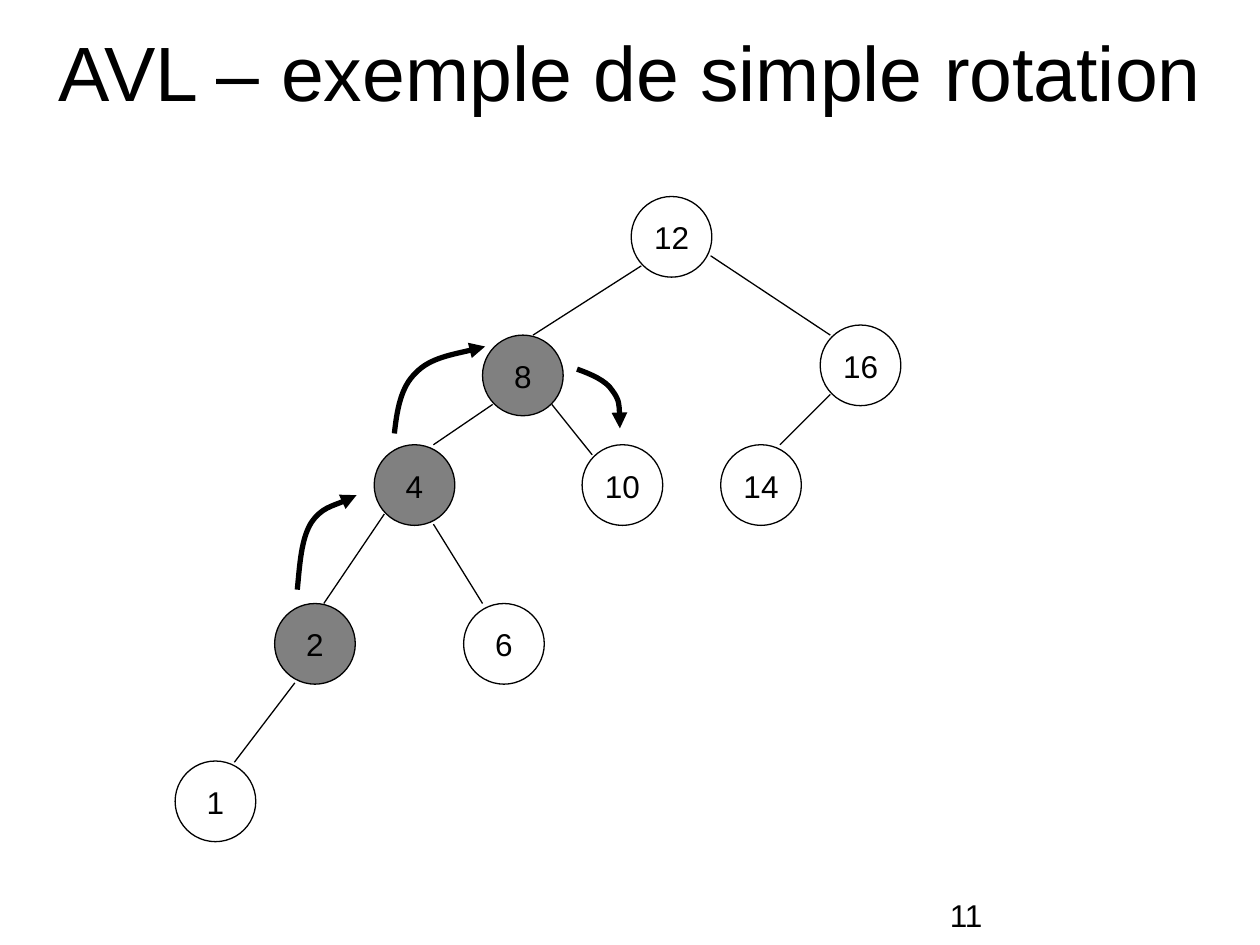
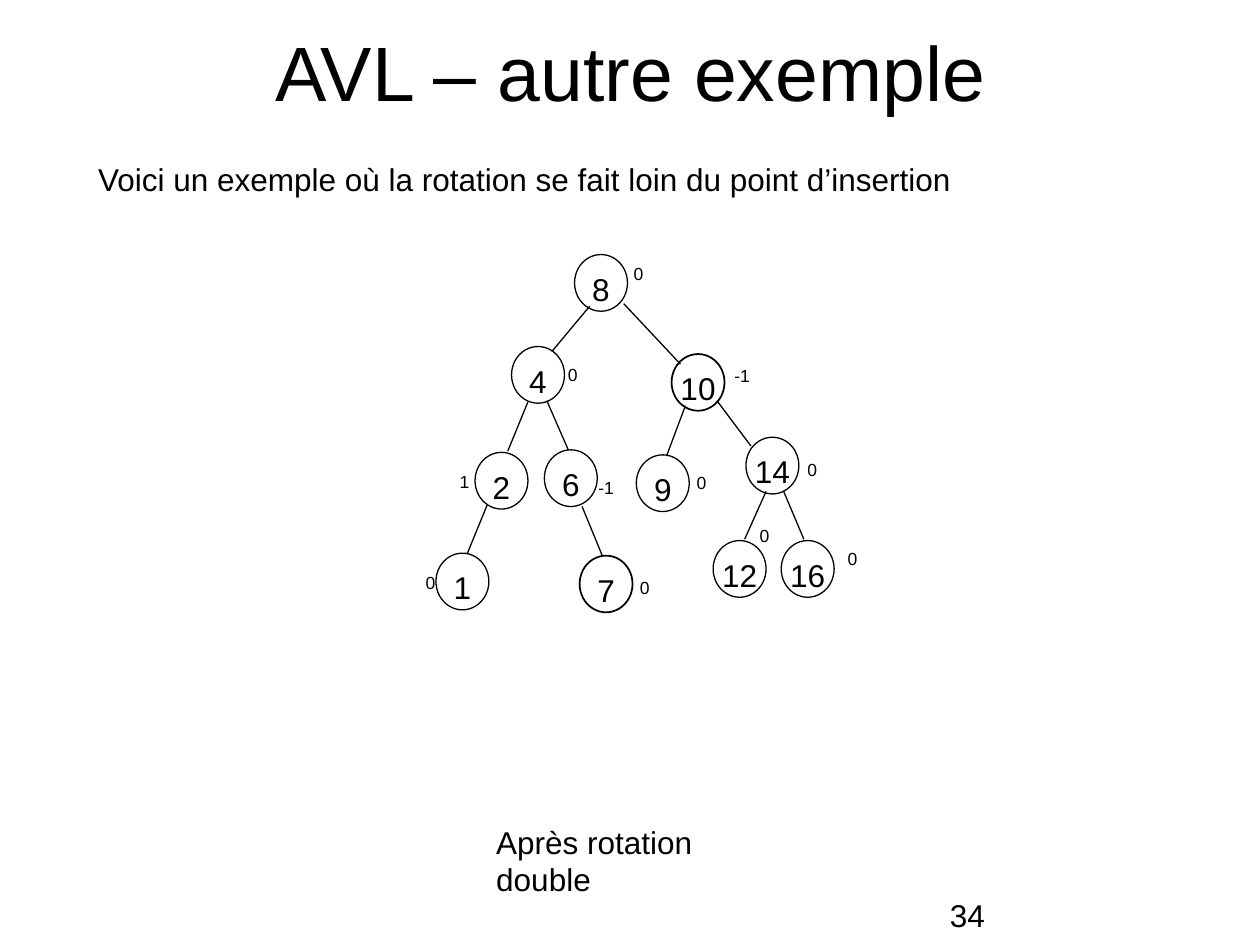
from dataclasses import dataclass
from typing import Optional

from lxml.etree import SubElement
from pptx import Presentation
from pptx.dml.color import RGBColor
from pptx.enum.shapes import MSO_CONNECTOR, MSO_SHAPE
from pptx.enum.text import MSO_ANCHOR, PP_ALIGN
from pptx.oxml.ns import qn
from pptx.util import Emu, Inches, Pt

COLORS = {"ink": "000000", "rotated": "808080", "paper": "FFFFFF"}
FONT = "Arial"
TITLE_SIZE, TEXT_SIZE, BALANCE_SIZE = 44, 18, 10
TITLE_LAYOUT = 5
SLIDE_WIDTH, SLIDE_HEIGHT = Inches(10), Inches(7.5)
COLUMNS, ROWS = 100, 75


@dataclass(frozen=True)
class NodeStyle:
    width: float
    height: float
    top_inset: float


@dataclass(frozen=True)
class Node:
    key: str
    column: float
    row: float
    fill: Optional[str] = None
    line_width: float = 0.75


@dataclass(frozen=True)
class Edge:
    parent_column: float
    parent_row: float
    child_column: float
    child_row: float


@dataclass(frozen=True)
class Caption:
    text: str
    column: float
    row: float
    width: float = 2.7
    height: float = 2.7
    size: float = BALANCE_SIZE
    wrap: bool = False


@dataclass(frozen=True)
class RotationArrow:
    start: tuple
    curves: tuple


@dataclass(frozen=True)
class TreeSlide:
    title: str
    number: str
    style: NodeStyle
    nodes: tuple
    edges: tuple
    captions: tuple = ()
    arrows: tuple = ()


SIMPLE_ROTATION = TreeSlide(
    title="AVL – exemple de simple rotation",
    number="11",
    style=NodeStyle(6.4, 6.4, 0.8),
    nodes=(
        Node("12", 50.1, 15.6),
        Node("8", 38.3, 26.6, "rotated"),
        Node("16", 65.1, 25.8),
        Node("4", 29.7, 35.3, "rotated"),
        Node("10", 46.2, 35.3),
        Node("14", 57.2, 35.3),
        Node("2", 21.8, 47.9, "rotated"),
        Node("6", 36.8, 47.9),
        Node("1", 13.9, 60.4),
    ),
    edges=(
        Edge(50.9, 21.1, 42.3, 26.6),
        Edge(56.4, 20.3, 65.9, 26.6),
        Edge(65.9, 31.3, 61.9, 35.3),
        Edge(39.1, 32.1, 34.4, 35.3),
        Edge(43.8, 32.1, 47, 36.1),
        Edge(34.4, 41.6, 38.3, 47.9),
        Edge(30.5, 40.8, 25.7, 47.9),
        Edge(23.4, 54.2, 18.6, 60.5),
    ),
    arrows=(
        RotationArrow((23.6, 46.8), (
            ((23.8, 44.8), (23.9, 42.8), (24.7, 41.5)),
            ((25.5, 40.3), (27.7, 39.7), (28.3, 39.3)))),
        RotationArrow((31.3, 34.4), (
            ((31.5, 32.6), (31.8, 30.7), (33, 29.6)),
            ((34.1, 28.4), (37.5, 27.8), (38.5, 27.5)))),
        RotationArrow((45.8, 29.3), (
            ((46.9, 29.7), (48.1, 30.2), (48.6, 31)),
            ((49.2, 31.8), (49.2, 32.9), (49.2, 34)))),
    ),
)

DOUBLE_ROTATION = TreeSlide(
    title="AVL – autre exemple",
    number="34",
    style=NodeStyle(4.2, 4.5, 0.55),
    nodes=(
        Node("8", 45.6, 20.2),
        Node("4", 40.6, 27.5),
        Node("10", 53.3, 28.1, line_width=1),
        Node("2", 37.7, 35.9),
        Node("6", 43.2, 35.7),
        Node("9", 50.5, 36.1),
        Node("14", 59.2, 34.7),
        Node("1", 34.6, 43.9),
        Node("7", 46, 44.1, line_width=1),
        Node("12", 56.6, 42.9),
        Node("16", 62, 42.9),
    ),
    edges=(
        Edge(46.8, 24.3, 43.8, 27.9),
        Edge(49.5, 24.1, 54, 28.9),
        Edge(41.9, 31.9, 40.3, 35.8),
        Edge(43.4, 31.8, 45.1, 35.7),
        Edge(54.4, 32.2, 52.9, 36.2),
        Edge(56.9, 31.8, 59.6, 35.4),
        Edge(38.7, 40, 37.1, 43.9),
        Edge(46.2, 40.2, 47.8, 44.1),
        Edge(60.8, 39, 59.1, 42.8),
        Edge(62.2, 39, 63.8, 42.8),
    ),
    captions=(
        Caption("Voici un exemple où la rotation se fait loin du point d’insertion",
                6.8, 12.2, 69.8, 4, TEXT_SIZE),
        Caption("0", 49.3, 20.4),
        Caption("0", 44.1, 28.4),
        Caption("-1", 57.3, 28.5, 3.2),
        Caption("1", 35.5, 36.9),
        Caption("-1", 46.5, 37.4, 3.2),
        Caption("0", 54.3, 37),
        Caption("0", 63.1, 35.9),
        Caption("0", 32.8, 44.9),
        Caption("0", 49.8, 45.3),
        Caption("0", 59.3, 41.2),
        Caption("0", 66.3, 43),
        Caption("Après rotation double", 38.4, 64.8, 25.7, 4, TEXT_SIZE),
    ),
)


def across(columns: float) -> Emu:
    return Emu(round(SLIDE_WIDTH * columns / COLUMNS))


def down(rows: float) -> Emu:
    return Emu(round(SLIDE_HEIGHT * rows / ROWS))


def color(name: str) -> RGBColor:
    return RGBColor.from_string(COLORS[name])


def write(frame, text: str, size: float, alignment=PP_ALIGN.LEFT) -> None:
    paragraph = frame.paragraphs[0]
    paragraph.alignment = alignment
    run = paragraph.add_run()
    run.text = text
    run.font.name = FONT
    run.font.size = Pt(size)
    run.font.color.rgb = color("ink")


def draw_outline(shape, width: float) -> None:
    shape.line.color.rgb = color("ink")
    shape.line.width = Pt(width)


def set_title(slide, text: str) -> None:
    title = slide.shapes.title
    title.left, title.top = across(2), down(1.3)
    title.width, title.height = across(96.1), down(8.7)
    title.text_frame.vertical_anchor = MSO_ANCHOR.MIDDLE
    write(title.text_frame, text, TITLE_SIZE, PP_ALIGN.CENTER)


def add_node(slide, node: Node, style: NodeStyle) -> None:
    circle = slide.shapes.add_shape(
        MSO_SHAPE.OVAL, across(node.column), down(node.row),
        across(style.width), down(style.height))
    circle.shadow.inherit = False
    if node.fill:
        circle.fill.solid()
        circle.fill.fore_color.rgb = color(node.fill)
    else:
        circle.fill.background()
    draw_outline(circle, node.line_width)
    frame = circle.text_frame
    frame.word_wrap = False
    frame.vertical_anchor = MSO_ANCHOR.TOP
    frame.margin_left = frame.margin_right = frame.margin_bottom = 0
    frame.margin_top = down(style.top_inset)
    write(frame, node.key, TEXT_SIZE, PP_ALIGN.CENTER)


def add_edge(slide, edge: Edge) -> None:
    connector = slide.shapes.add_connector(
        MSO_CONNECTOR.STRAIGHT, across(edge.parent_column), down(edge.parent_row),
        across(edge.child_column), down(edge.child_row))
    draw_outline(connector, 0.75)
    SubElement(connector.element.spPr, qn("a:effectLst"))


def add_caption(slide, caption: Caption) -> None:
    box = slide.shapes.add_textbox(
        across(caption.column), down(caption.row),
        across(caption.width), down(caption.height))
    box.text_frame.word_wrap = caption.wrap
    write(box.text_frame, caption.text, caption.size)


def add_rotation_arrow(slide, arrow: RotationArrow) -> None:
    points = [(across(column), down(row))
              for curve in arrow.curves for column, row in curve]
    builder = slide.shapes.build_freeform(across(arrow.start[0]), down(arrow.start[1]))
    builder.add_line_segments(points, close=False)
    shape = builder.convert_to_shape()
    shape.shadow.inherit = False
    shape.fill.background()
    draw_outline(shape, 3)
    segments = list(shape.element.iter(qn("a:lnTo")))
    outline = segments[0].getparent()
    for first in range(0, len(segments), 3):
        bezier = SubElement(outline, qn("a:cubicBezTo"))
        for segment in segments[first:first + 3]:
            bezier.append(segment[0])
            outline.remove(segment)
    SubElement(shape.line._get_or_add_ln(), qn("a:tailEnd"), type="triangle")


def add_tree_slide(presentation, content: TreeSlide) -> None:
    slide = presentation.slides.add_slide(presentation.slide_layouts[TITLE_LAYOUT])
    slide.background.fill.solid()
    slide.background.fill.fore_color.rgb = color("paper")
    set_title(slide, content.title)
    for edge in content.edges:
        add_edge(slide, edge)
    for node in content.nodes:
        add_node(slide, node, content.style)
    for arrow in content.arrows:
        add_rotation_arrow(slide, arrow)
    number = Caption(content.number, 74.4, 70.6, 23.6, 2.8, TEXT_SIZE, True)
    for caption in (*content.captions, number):
        add_caption(slide, caption)


def main() -> None:
    presentation = Presentation()
    presentation.slide_width, presentation.slide_height = SLIDE_WIDTH, SLIDE_HEIGHT
    for content in (SIMPLE_ROTATION, DOUBLE_ROTATION):
        add_tree_slide(presentation, content)
    presentation.save("out.pptx")


if __name__ == "__main__":
    main()
